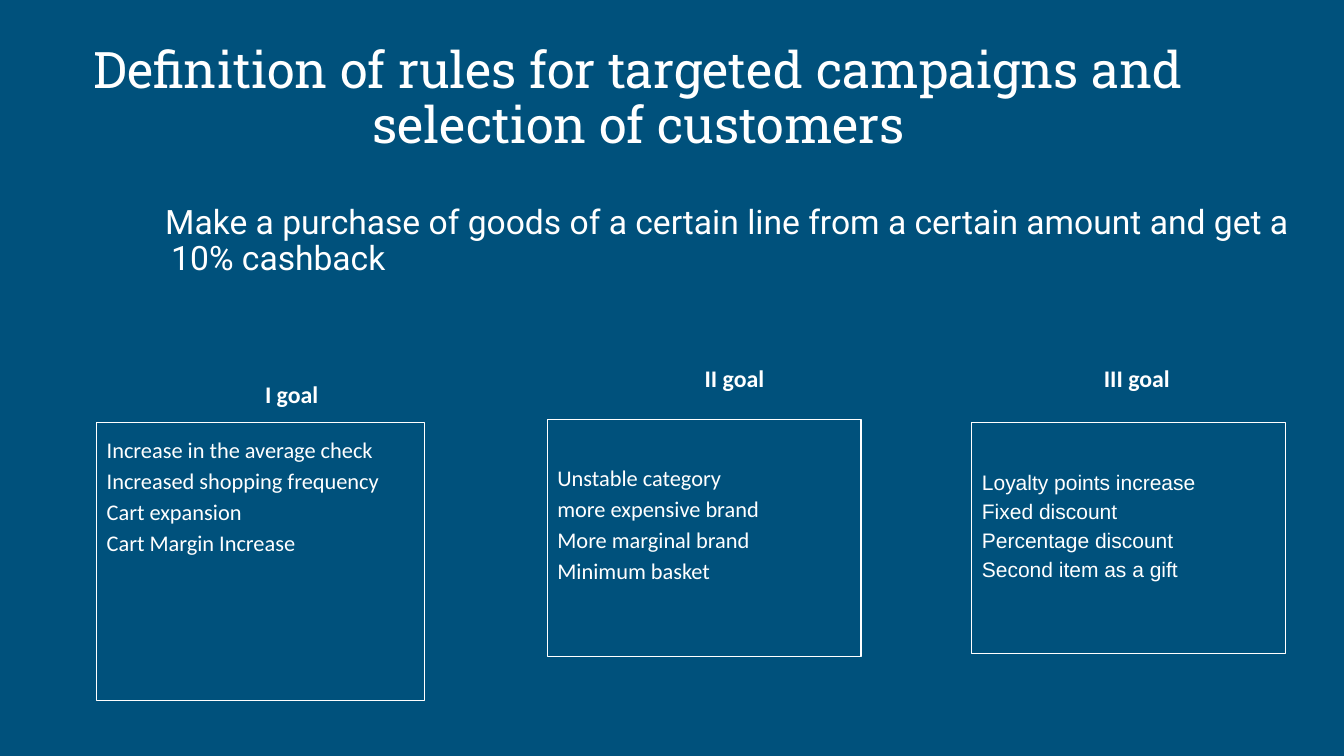
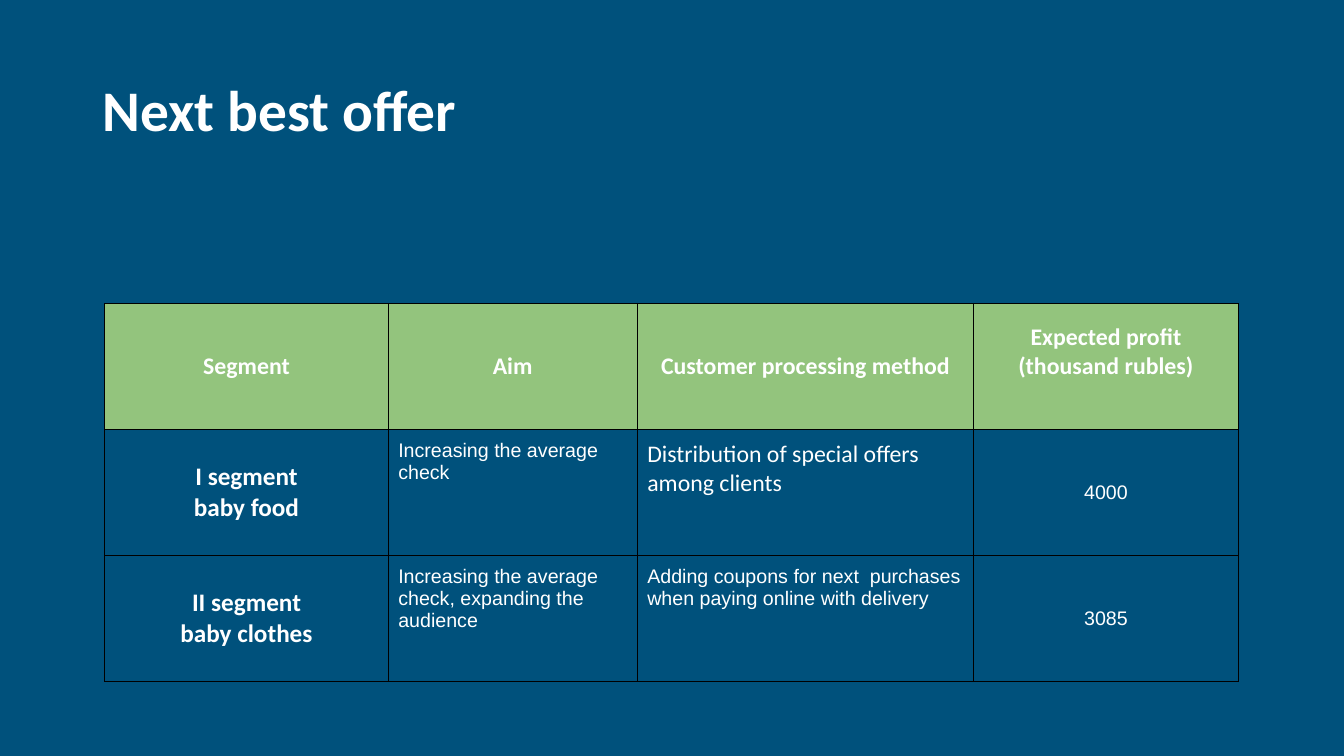
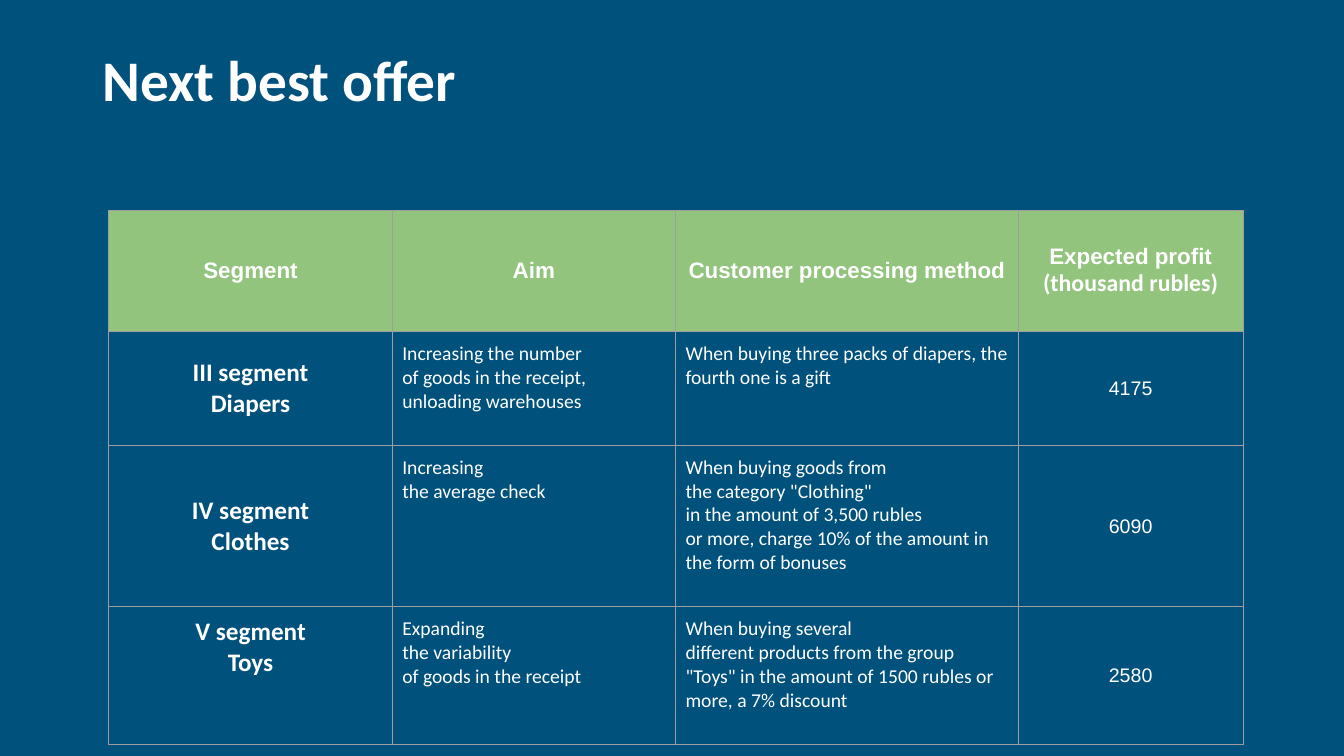
from dataclasses import dataclass

from lxml import etree
from pptx import Presentation
from pptx.dml.color import RGBColor
from pptx.enum.shapes import MSO_SHAPE
from pptx.enum.text import MSO_ANCHOR, MSO_AUTO_SIZE, PP_ALIGN
from pptx.oxml.ns import qn
from pptx.util import Inches, Pt

RECTANGLE = MSO_SHAPE.RECTANGLE
TOP, MIDDLE = MSO_ANCHOR.TOP, MSO_ANCHOR.MIDDLE
LEFT, CENTER = PP_ALIGN.LEFT, PP_ALIGN.CENTER
FIXED_SIZE = MSO_AUTO_SIZE.NONE
TITLE_ONLY = 5

COLORS = {
    "background": "00517C",
    "text": "FFFFFF",
    "header": "93C47D",
    "dark_grid": "000000",
    "light_grid": "9E9E9E",
}


@dataclass(frozen=True)
class TextStyle:
    font: str
    size: int
    bold: bool = False
    align: PP_ALIGN = LEFT
    anchor: MSO_ANCHOR = TOP
    spacing: float = 1.0


@dataclass(frozen=True)
class Area:
    left: float
    top: float
    width: float
    height: float

    def lengths(self) -> tuple:
        return tuple(Inches(v) for v in (self.left, self.top, self.width, self.height))


@dataclass(frozen=True)
class Goal:
    heading: str
    heading_left: float
    heading_top: float
    box: Area
    lines: tuple[str, ...]
    style: TextStyle
    bottom: float = 0.1


@dataclass(frozen=True)
class Entry:
    lines: tuple[str, ...]
    style: TextStyle
    last_style: TextStyle | None = None
    bottom: float = 0.1


@dataclass(frozen=True)
class Offer:
    title_bottom: float
    left: float
    top: float
    columns: tuple[float, ...]
    rows: tuple[float, ...]
    grid: str
    entries: tuple[tuple[Entry, ...], ...]


CAMPAIGN_TITLE = TextStyle("Roboto Slab", 36, align=CENTER, spacing=0.9)
OFFER_TITLE = TextStyle("Calibri", 41, bold=True, anchor=MIDDLE, spacing=0.9)
CASHBACK = TextStyle("Roboto", 24, spacing=0.9)
GOAL_HEADING = TextStyle("Calibri", 17, bold=True)
HEADER = TextStyle("Calibri", 17, bold=True, align=CENTER, anchor=MIDDLE)
ARIAL_HEADER = TextStyle("Arial", 16, bold=True, align=CENTER, anchor=MIDDLE)
SEGMENT = TextStyle("Calibri", 18, bold=True, align=CENTER, anchor=MIDDLE)
TOP_SEGMENT = TextStyle("Calibri", 18, bold=True, align=CENTER)
ARIAL_DETAIL = TextStyle("Arial", 14)
DETAIL = TextStyle("Calibri", 14)
LARGE_DETAIL = TextStyle("Calibri", 17)
PROFIT = TextStyle("Arial", 14, align=CENTER, anchor=MIDDLE)

GOALS = (
    Goal("I goal", 2.53, 3.67, Area(0.96, 4.19, 3.25, 2.76),
         ("Increase in the average check", "Increased shopping frequency",
          "Cart expansion", "Cart Margin Increase"),
         TextStyle("Calibri", 16, spacing=1.15)),
    Goal("II goal", 6.89, 3.51, Area(5.43, 4.16, 3.11, 2.35),
         ("Unstable category", "more expensive brand",
          "More marginal brand", "Minimum basket"),
         TextStyle("Calibri", 16, anchor=MIDDLE, spacing=1.15), 0.41),
    Goal("III goal", 10.85, 3.51, Area(9.64, 4.19, 3.11, 2.29),
         ("Loyalty points increase", "Fixed discount",
          "Percentage discount", "Second item as a gift"),
         TextStyle("Arial", 15, anchor=MIDDLE, spacing=1.15), 0.38),
)

HEADINGS = ("Segment", "Aim", "Customer processing method")
PROFIT_HEADING = ("Expected profit", "(thousand rubles)")

OFFERS = (
    Offer(0.05, 1.04, 3.01, (2.81, 2.47, 3.34, 2.62), (1.25,) * 3, "dark_grid", (
        (*(Entry((heading,), HEADER) for heading in HEADINGS),
         Entry(PROFIT_HEADING, HEADER, bottom=0.39)),
        (Entry(("I segment", "baby food"), SEGMENT),
         Entry(("Increasing the average check",), ARIAL_DETAIL),
         Entry(("Distribution of special offers among clients",), LARGE_DETAIL),
         Entry(("4000",), PROFIT)),
        (Entry(("II segment", "baby clothes"), SEGMENT),
         Entry(("Increasing the average check, expanding the audience",), ARIAL_DETAIL),
         Entry(("Adding coupons for next  purchases when paying online with delivery",),
               ARIAL_DETAIL),
         Entry(("3085",), PROFIT)),
    )),
    Offer(0.66, 1.08, 2.09, (2.81, 2.81, 3.4, 2.23), (1.2, 1.13, 1.6, 1.37), "light_grid", (
        (*(Entry((heading,), ARIAL_HEADER) for heading in HEADINGS),
         Entry(PROFIT_HEADING, ARIAL_HEADER, HEADER)),
        (Entry(("III segment", "Diapers"), SEGMENT),
         Entry(("Increasing the number",
                "of goods in the receipt, unloading warehouses"), DETAIL),
         Entry(("When buying three packs of diapers, the fourth one is a gift",), DETAIL),
         Entry(("4175",), PROFIT)),
        (Entry(("IV segment", "Clothes"), SEGMENT),
         Entry(("Increasing", "the average check"), DETAIL),
         Entry(("When buying goods from", 'the category "Clothing"',
                "in the amount of 3,500 rubles",
                "or more, charge 10% of the amount in the form of bonuses"), DETAIL),
         Entry(("6090",), PROFIT)),
        (Entry(("V segment", "Toys"), TOP_SEGMENT),
         Entry(("Expanding", "the variability", "of goods in the receipt"), DETAIL),
         Entry(("When buying several",
                'different products from the group "Toys" in the amount of 1500 rubles '
                "or more, a 7% discount"), DETAIL),
         Entry(("2580",), PROFIT)),
    )),
)


def rgb(name: str) -> RGBColor:
    return RGBColor.from_string(COLORS[name])


def set_all(target, values: dict) -> None:
    for attribute, value in values.items():
        setattr(target, attribute, value)


def margins(side: float, top: float, bottom: float) -> dict:
    return {"margin_left": Inches(side), "margin_right": Inches(side),
            "margin_top": Inches(top), "margin_bottom": Inches(bottom)}


def write_lines(frame, lines: tuple[str, ...], style: TextStyle,
                last_style: TextStyle | None = None) -> None:
    frame.text = "\n".join(lines)
    for paragraph in frame.paragraphs:
        set_all(paragraph, {"alignment": style.align, "line_spacing": style.spacing})
    for index, paragraph in enumerate(frame.paragraphs, 1):
        look = last_style if last_style and index == len(lines) else style
        font = paragraph.runs[0].font
        set_all(font, {"name": look.font, "size": Pt(look.size), "bold": look.bold})
        font.color.rgb = rgb("text")


def fill_frame(frame, lines: tuple[str, ...], style: TextStyle,
               top: float = 0.1, bottom: float = 0.1) -> None:
    set_all(frame, {"word_wrap": True, "auto_size": FIXED_SIZE,
                    "vertical_anchor": style.anchor, **margins(0.1, top, bottom)})
    write_lines(frame, lines, style)


def add_titled_slide(prs, title: str, area: Area, style: TextStyle, bottom: float = 0.05):
    slide = prs.slides.add_slide(prs.slide_layouts[TITLE_ONLY])
    heading = slide.shapes.title
    set_all(heading, dict(zip(("left", "top", "width", "height"), area.lengths())))
    fill_frame(heading.text_frame, (title,), style, 0.05, bottom)
    return slide


def add_text(slide, area: Area, text: str, style: TextStyle, inset: float = 0.1):
    frame = slide.shapes.add_textbox(*area.lengths()).text_frame
    fill_frame(frame, (text,), style, inset, inset)
    return frame


def add_goal(slide, goal: Goal) -> None:
    box = slide.shapes.add_shape(RECTANGLE, *goal.box.lengths())
    box.shadow.inherit = False
    box.fill.solid()
    box.fill.fore_color.rgb = rgb("background")
    box.line.color.rgb = rgb("text")
    box.line.width = Pt(0.75)
    fill_frame(box.text_frame, goal.lines, goal.style, bottom=goal.bottom)
    add_text(slide, Area(goal.heading_left, goal.heading_top, 0.98, 0.49),
             goal.heading, GOAL_HEADING)


def add_borders(cell, color: str) -> None:
    properties = cell._tc.get_or_add_tcPr()
    for position, side in enumerate(("a:lnL", "a:lnR", "a:lnT", "a:lnB")):
        line = etree.Element(qn(side), w=str(Pt(0.75)))
        solid = etree.SubElement(line, qn("a:solidFill"))
        etree.SubElement(solid, qn("a:srgbClr"), val=COLORS[color])
        properties.insert(position, line)


def add_offer(prs, offer: Offer) -> None:
    slide = add_titled_slide(prs, "Next best offer", Area(0.92, 0.4, 11.5, 1.45),
                             OFFER_TITLE, offer.title_bottom)
    area = Area(offer.left, offer.top, sum(offer.columns), sum(offer.rows))
    table = slide.shapes.add_table(len(offer.rows), len(offer.columns),
                                   *area.lengths()).table
    set_all(table, {"first_row": False, "horz_banding": False})
    for column, width in zip(table.columns, offer.columns):
        column.width = Inches(width)
    for row_index, (row, height) in enumerate(zip(table.rows, offer.rows)):
        row.height = Inches(height)
        for cell, entry in zip(row.cells, offer.entries[row_index]):
            set_all(cell, {"vertical_anchor": entry.style.anchor,
                           **margins(0.1, 0.1, entry.bottom)})
            write_lines(cell.text_frame, entry.lines, entry.style, entry.last_style)
            if row_index == 0:
                cell.fill.solid()
                cell.fill.fore_color.rgb = rgb("header")
            else:
                cell.fill.background()
            add_borders(cell, offer.grid)


def add_campaign(prs) -> None:
    slide = add_titled_slide(
        prs, "Definition of rules for targeted campaigns and selection of customers",
        Area(0.26, 0.4, 12.15, 1.45), CAMPAIGN_TITLE)
    cashback = add_text(
        slide, Area(1.35, 1.99, 12.15, 1),
        "Make a purchase of goods of a certain line from a certain amount "
        "and get a 10% cashback", CASHBACK, 0.05)
    properties = cashback.paragraphs[0]._p.get_or_add_pPr()
    properties.set("marL", str(Inches(0.25)))
    properties.set("indent", str(Inches(-0.06)))
    for goal in GOALS:
        add_goal(slide, goal)


def main() -> None:
    prs = Presentation()
    set_all(prs, {"slide_width": Inches(13.33), "slide_height": Inches(7.5)})
    backdrop = prs.slide_master.background.fill
    backdrop.solid()
    backdrop.fore_color.rgb = rgb("background")
    add_campaign(prs)
    for offer in OFFERS:
        add_offer(prs, offer)
    prs.save("out.pptx")


if __name__ == "__main__":
    main()
